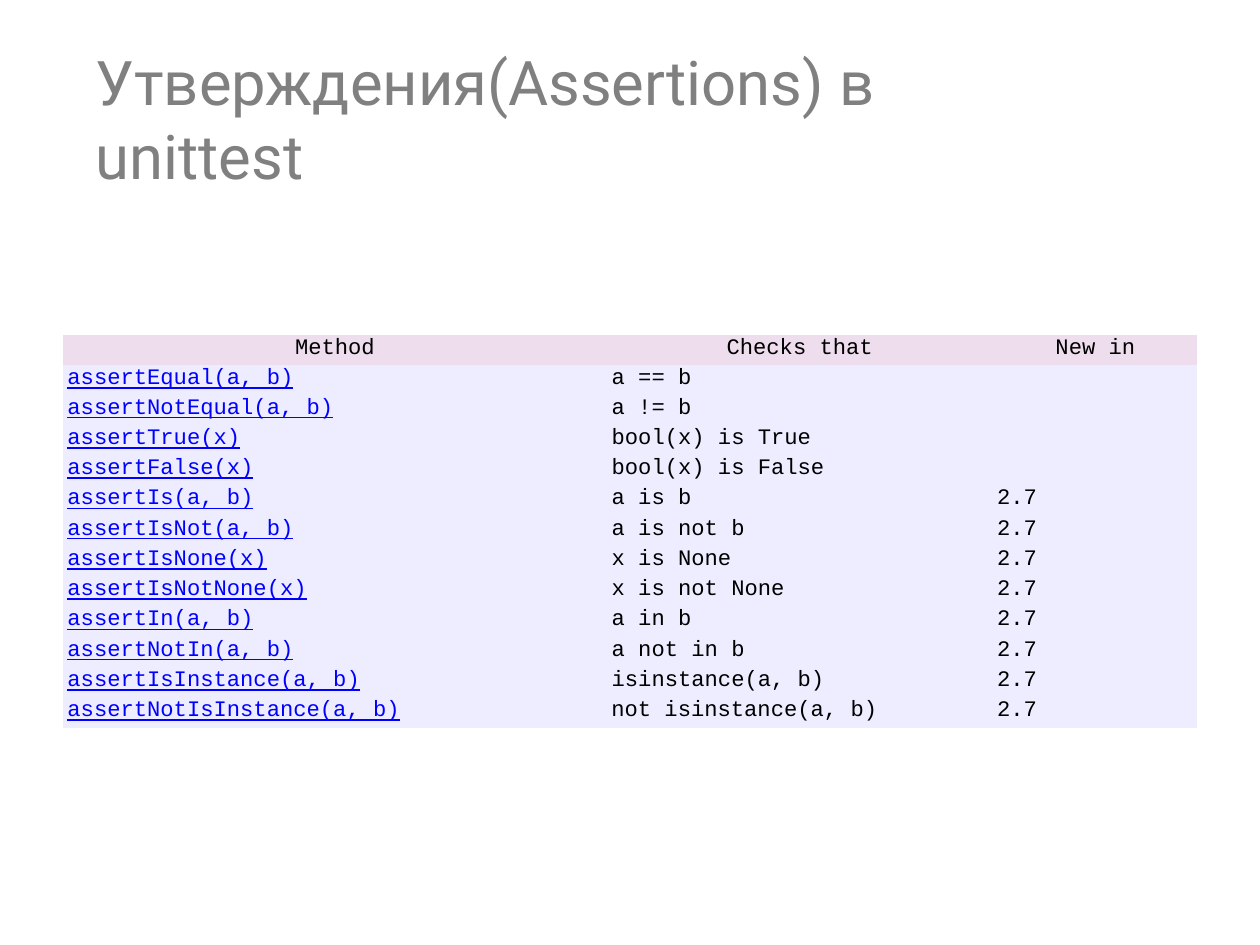
from pptx import Presentation
from pptx.dml.color import RGBColor
from pptx.enum import text
from pptx.oxml.ns import qn
from pptx.util import Pt

GREY = RGBColor(0x80, 0x80, 0x80)
BLACK = RGBColor(0, 0, 0)
LINK_BLUE = RGBColor(0, 0, 0xFF)
HEADER_PINK = RGBColor(0xED, 0xDD, 0xED)
BODY_LILAC = RGBColor(0xED, 0xED, 0xFF)
NO_GRID_STYLE = "{2D5ABB26-0587-4C30-8999-92F81FD0307C}"

HEADINGS = ("Method", "Checks that", "New in")
ASSERTIONS = [
    ("assertEqual(a, b)", "a == b", ""),
    ("assertNotEqual(a, b)", "a != b", ""),
    ("assertTrue(x)", "bool(x) is True", ""),
    ("assertFalse(x)", "bool(x) is False", ""),
    ("assertIs(a, b)", "a is b", "2.7"),
    ("assertIsNot(a, b)", "a is not b", "2.7"),
    ("assertIsNone(x)", "x is None", "2.7"),
    ("assertIsNotNone(x)", "x is not None", "2.7"),
    ("assertIn(a, b)", "a in b", "2.7"),
    ("assertNotIn(a, b)", "a not in b", "2.7"),
    ("assertIsInstance(a, b)", "isinstance(a, b)", "2.7"),
    ("assertNotIsInstance(a, b)", "not isinstance(a, b)", "2.7"),
]
COLUMN_WIDTHS = (359.5, 350.6, 211.2)
ROW_HEIGHT = 24.6
HEADING_INDENTS = (188.6, 0, 96.5)
BODY_INDENTS = (3.6, 86.4, 49)

prs = Presentation()
prs.slide_width, prs.slide_height = Pt(1024), Pt(768)
slide = prs.slides.add_slide(prs.slide_layouts[5])

title = slide.shapes.title
title.left, title.top, title.width, title.height = Pt(77.8), Pt(34.6), Pt(793.4), Pt(62)
heading = title.text_frame
heading.text = "Утверждения(Assertions) в unittest"
heading.word_wrap = True
heading.auto_size = text.MSO_AUTO_SIZE.NONE
heading.vertical_anchor = text.MSO_ANCHOR.TOP
heading.margin_left = heading.margin_right = heading.margin_bottom = 0
heading.margin_top = Pt(1)
heading.paragraphs[0].alignment = text.PP_ALIGN.LEFT
heading.paragraphs[0].space_before = Pt(1)
title_font = heading.paragraphs[0].runs[0].font
title_font.name, title_font.size = "Roboto", Pt(50)
title_font.color.rgb = GREY

rows = [HEADINGS] + ASSERTIONS
table = slide.shapes.add_table(
    len(rows), len(HEADINGS), Pt(51.2), Pt(272.2),
    Pt(sum(COLUMN_WIDTHS)), Pt(ROW_HEIGHT * len(rows))).table
table.horz_banding = False
table._tbl.tblPr.find(qn("a:tableStyleId")).text = NO_GRID_STYLE
for column, width in zip(table.columns, COLUMN_WIDTHS):
    column.width = Pt(width)

for r, row in enumerate(rows):
    table.rows[r].height = Pt(ROW_HEIGHT)
    for c, entry in enumerate(row):
        cell = table.cell(r, c)
        cell.margin_left = cell.margin_right = cell.margin_top = cell.margin_bottom = 0
        cell.fill.solid()
        cell.fill.fore_color.rgb = BODY_LILAC if r else HEADER_PINK
        if not entry:
            continue
        cell.text_frame.text = entry
        paragraph = cell.text_frame.paragraphs[0]
        paragraph.line_spacing = Pt(20.7 if r > 1 else 21)
        if c == 1 and r in (0, len(rows) - 1):
            paragraph.alignment = text.PP_ALIGN.RIGHT
            cell.margin_right = Pt(48.5 if r else 52)
        else:
            indent = (BODY_INDENTS if r else HEADING_INDENTS)[c]
            paragraph._p.get_or_add_pPr().set("marL", str(Pt(indent)))
        is_method = r > 0 and c == 0
        font = paragraph.runs[0].font
        font.name, font.size = "Courier New", Pt(18)
        font.color.rgb = LINK_BLUE if is_method else BLACK
        font.underline = is_method

prs.save("out.pptx")
